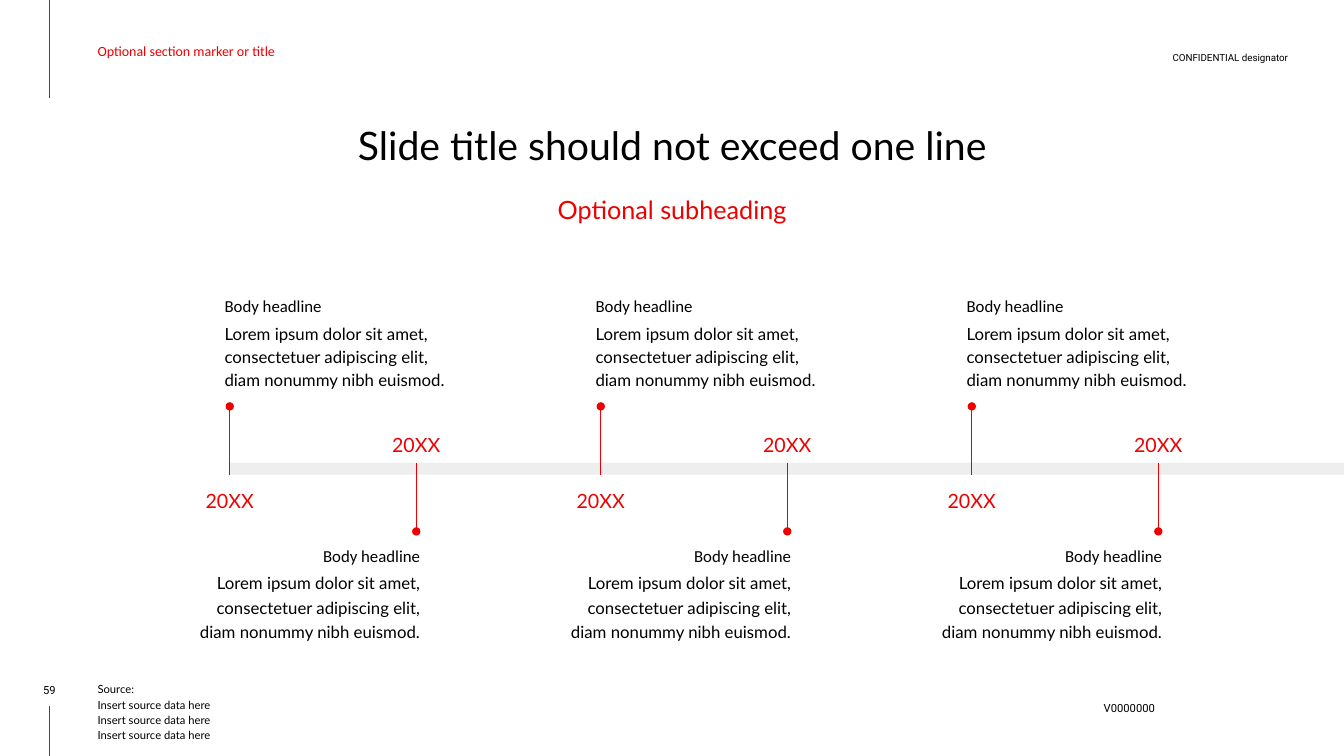
from dataclasses import dataclass

from lxml.etree import SubElement
from pptx import Presentation
from pptx.dml.color import RGBColor
from pptx.enum.shapes import MSO_CONNECTOR as Wire, MSO_SHAPE as Form
from pptx.enum.text import MSO_ANCHOR as Anchor, PP_ALIGN as Align
from pptx.oxml.ns import qn
from pptx.slide import Slide
from pptx.util import Cm, Pt


@dataclass(frozen=True)
class Theme:
    red: str = "EE0000"
    black: str = "000000"
    gray: str = "EEEEEE"
    title: int = 28
    sub: int = 18
    year: int = 14
    body: int = 12
    marker: int = 10
    small: int = 8
    tiny: int = 7
    hair: float = 0.75


THEME = Theme()


@dataclass(frozen=True)
class Label:
    text: str
    left: float
    top: float
    width: float
    height: float
    size: int
    font: str = "Lato"
    color: str = THEME.black
    align: Align = Align.LEFT
    anchor: Anchor = Anchor.TOP
    pitch: float = 1.0
    inset: float = 0.0


@dataclass(frozen=True)
class Stem:
    x: float
    top: float
    base: float
    dot: str = ""


@dataclass(frozen=True)
class Side:
    """One row of events, above or below the time bar."""
    start: float
    top: float
    base: float
    dot: str
    shift: float
    head: float
    body: float
    year: float
    align: Align
    pitch: float


def draw_label(slide: Slide, label: Label) -> None:
    box = slide.shapes.add_textbox(Cm(label.left), Cm(label.top),
                                   Cm(label.width), Cm(label.height))
    frame = box.text_frame
    frame.word_wrap = True
    frame.vertical_anchor = label.anchor
    frame.margin_left = Cm(label.inset)
    frame.margin_right = frame.margin_top = frame.margin_bottom = 0
    frame.text = label.text
    for para in frame.paragraphs:
        para.alignment = label.align
        para.line_spacing = label.pitch
        for run in para.runs:
            run.font.name = label.font
            run.font.size = Pt(label.size)
            run.font.color.rgb = RGBColor.from_string(label.color)


def draw_stem(slide: Slide, stem: Stem) -> None:
    line = slide.shapes.add_connector(Wire.STRAIGHT, Cm(stem.x), Cm(stem.base),
                                      Cm(stem.x), Cm(stem.top))
    line.line.color.rgb = RGBColor.from_string(THEME.red)
    line.line.width = Pt(THEME.hair)
    props = line._element.spPr
    if stem.dot:
        SubElement(props.find(qn("a:ln")), qn(stem.dot), type="oval")
    SubElement(props, qn("a:effectLst"))


def draw_bar(slide: Slide) -> None:
    bar = slide.shapes.add_shape(Form.RECTANGLE, Cm(5.79), Cm(11.66),
                                 Cm(28.08), Cm(0.3))
    bar.shadow.inherit = False
    bar.fill.solid()
    bar.fill.fore_color.rgb = RGBColor.from_string(THEME.gray)
    bar.line.fill.background()


def draw_event(slide: Slide, side: Side, x: float) -> None:
    left = x + side.shift
    draw_stem(slide, Stem(x, side.top, side.base, side.dot))
    draw_label(slide, Label("Body headline", left, side.head, 5.84, 1.04,
                            THEME.body, "Calibri", align=side.align,
                            anchor=Anchor.BOTTOM, pitch=1.15))
    draw_label(slide, Label(LOREM, left, side.body, 5.84, 1.88, THEME.body,
                            align=side.align, pitch=side.pitch))
    draw_label(slide, Label("20XX", x - 1.36, side.year, 2.72, 0.66,
                            THEME.year, color=THEME.red, align=Align.CENTER,
                            anchor=Anchor.MIDDLE, pitch=1.15))


LOREM = ("Lorem ipsum dolor sit amet, consectetuer adipiscing elit, "
         "diam nonummy nibh euismod.")
SOURCE = "\n".join(["Source:"] + ["Insert source data here"] * 3)

FRAME = [
    Label("CONFIDENTIAL designator", 26.87, 0.76, 5.59, 0.84, THEME.tiny,
          "Roboto", align=Align.RIGHT, anchor=Anchor.BOTTOM, pitch=1.5),
    Label("V0000000", 27.08, 17.53, 2.03, 0.64, THEME.small, "Roboto",
          align=Align.RIGHT, anchor=Anchor.MIDDLE),
    Label("Slide title should not exceed one line", 2.46, 3.05, 28.96, 1.52,
          THEME.title, align=Align.CENTER),
    Label("Optional subheading", 2.46, 4.6, 28.96, 0.81, THEME.sub,
          color=THEME.red, align=Align.CENTER, pitch=1.4),
    Label("Optional section marker or title", 1.24, 0.15, 14.3, 2.26,
          THEME.marker, "Calibri", THEME.red, anchor=Anchor.MIDDLE, inset=1.22),
    Label("59", 0.23, 17.15, 2.03, 0.41, THEME.small, "Roboto",
          align=Align.CENTER, anchor=Anchor.BOTTOM),
    Label(SOURCE, 2.46, 17.15, 22.23, 1.55, THEME.small,
          anchor=Anchor.BOTTOM, pitch=1.15),
]
RULES = [Stem(1.24, 0, 2.46), Stem(1.24, 17.78, 19.05)]

STEP, COUNT = 9.35, 3
SIDES = [
    Side(5.79, 10.24, 11.96, "a:tailEnd", -0.13, 6.93, 8.08, 12.24,
         Align.LEFT, 1.15),
    Side(10.49, 11.66, 13.39, "a:headEnd", -5.74, 13.21, 14.33, 10.82,
         Align.RIGHT, 1.22),
]


def main() -> None:
    deck = Presentation()
    deck.slide_width, deck.slide_height = Cm(33.87), Cm(19.05)
    slide = deck.slides.add_slide(deck.slide_layouts[6])

    # Margin rules, headings and footer
    for rule in RULES:
        draw_stem(slide, rule)
    for label in FRAME:
        draw_label(slide, label)

    # Time bar with events on both sides
    draw_bar(slide)
    for side in SIDES:
        for index in range(COUNT):
            draw_event(slide, side, side.start + index * STEP)

    deck.save("out.pptx")


if __name__ == "__main__":
    main()
